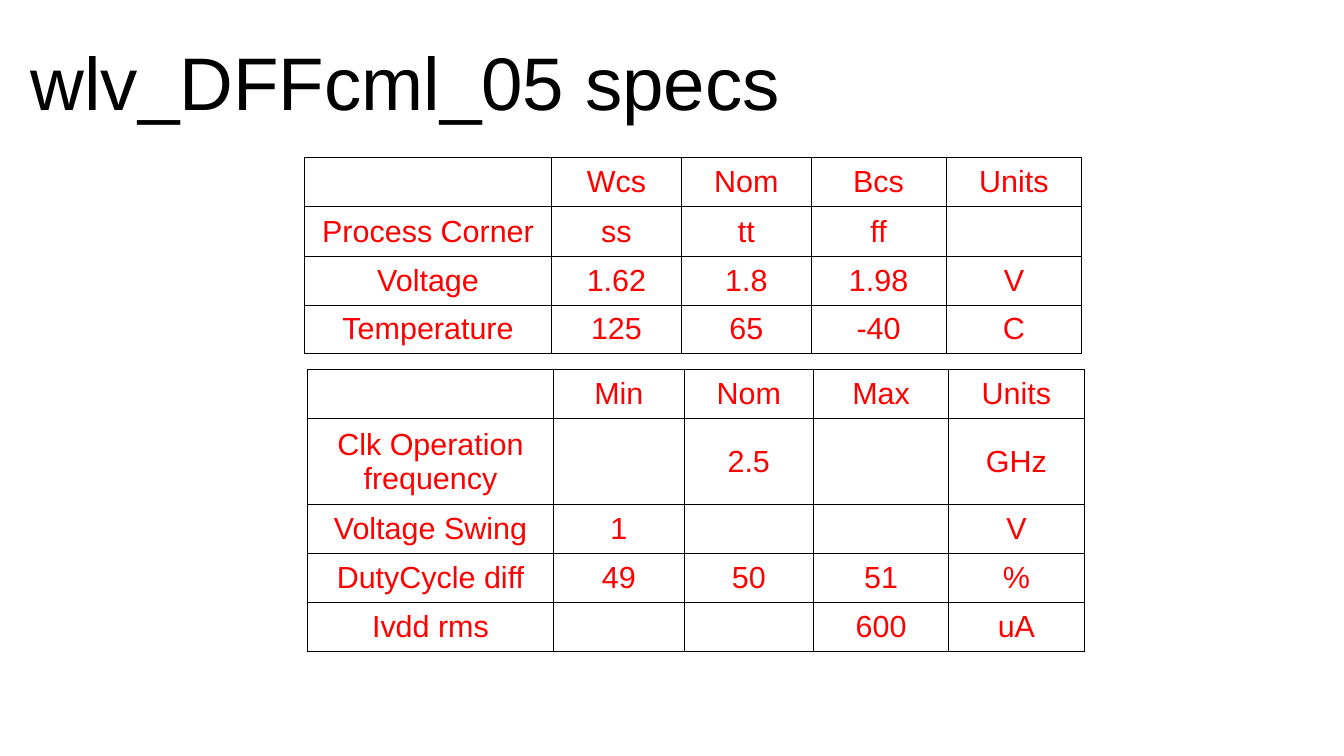
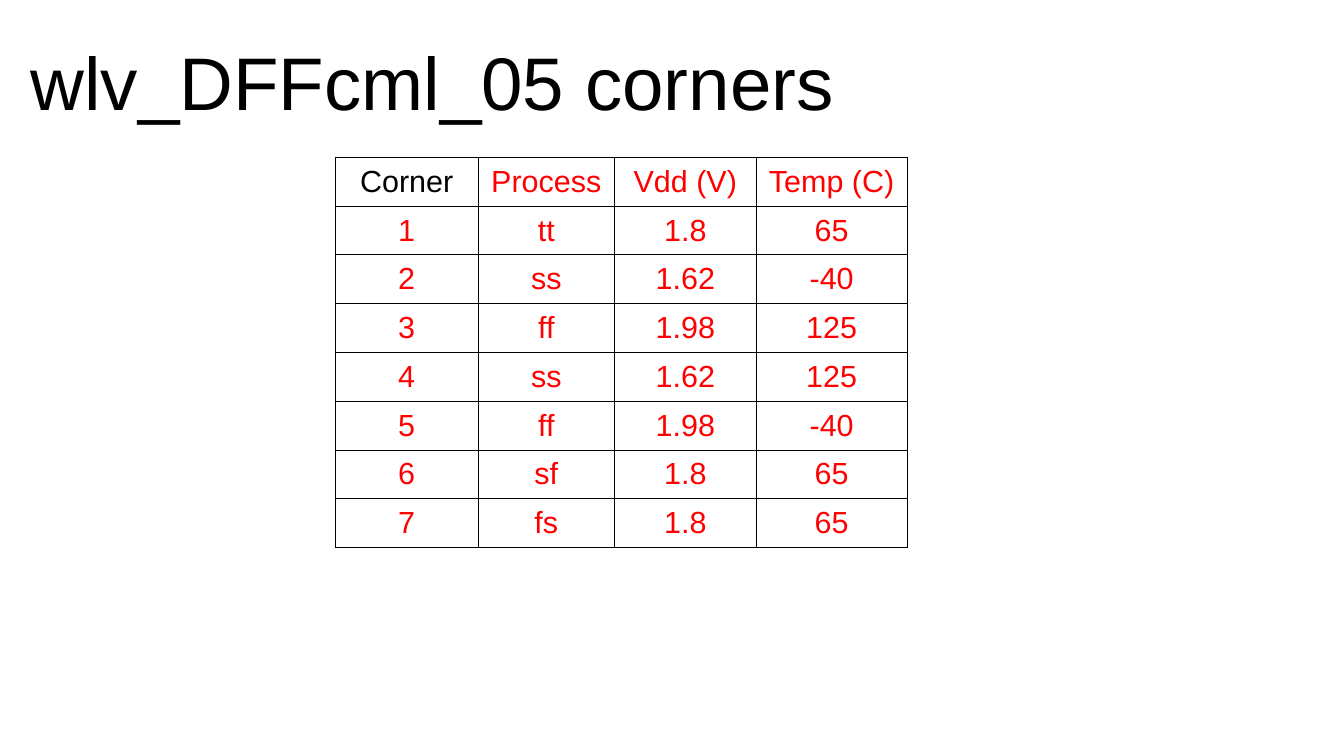
from lxml.etree import SubElement
from pptx import Presentation
from pptx.dml.color import RGBColor
from pptx.enum.text import MSO_ANCHOR as Anchor, PP_ALIGN as Align
from pptx.oxml.ns import qn
from pptx.util import Inches, Pt

FONT, BLACK, RED = "Arial", "000000", "FF0000"
ROW, TALL = 0.4, 0.7
SPEC_COLS = [2.02, 1.07, 1.06, 1.11, 1.11]

SLIDES = [
    {
        "title": "wlv_DFFcml_05 specs",
        "box": (0.25, 0.25, 6.5, 0.83),
        "tables": [
            {
                "at": (2.5, 1.29),
                "cols": SPEC_COLS,
                "rows": [
                    ["", "Wcs", "Nom", "Bcs", "Units"],
                    ["Process Corner", "ss", "tt", "ff", ""],
                    ["Voltage", "1.62", "1.8", "1.98", "V"],
                    ["Temperature", "125", "65", "-40", "C"],
                ],
            },
            {
                "at": (2.52, 3.03),
                "cols": SPEC_COLS,
                "tall": {1},
                "rows": [
                    ["", "Min", "Nom", "Max", "Units"],
                    ["Clk Operation frequency", "", "2.5", "", "GHz"],
                    ["Voltage Swing", "1", "", "", "V"],
                    ["DutyCycle diff", "49", "50", "51", "%"],
                    ["Ivdd rms", "", "", "600", "uA"],
                ],
            },
        ],
    },
    {
        "title": "wlv_DFFcml_05 corners",
        "box": (0.25, -0.02, 7.75, 1.37),
        "tables": [
            {
                "at": (2.75, 1.29),
                "cols": [1.17, 1.12, 1.16, 1.24],
                "black": {"Corner"},
                "rows": [
                    ["Corner", "Process", "Vdd (V)", "Temp (C)"],
                    ["1", "tt", "1.8", "65"],
                    ["2", "ss", "1.62", "-40"],
                    ["3", "ff", "1.98", "125"],
                    ["4", "ss", "1.62", "125"],
                    ["5", "ff", "1.98", "-40"],
                    ["6", "sf", "1.8", "65"],
                    ["7", "fs", "1.8", "65"],
                ],
            },
        ],
    },
]


def style(par, size, color, align):
    par.alignment = align
    for run in par.runs:
        run.font.name = FONT
        run.font.size = Pt(size)
        run.font.color.rgb = RGBColor.from_string(color)


def add_title(slide, text, box):
    title = slide.shapes.title
    title.left, title.top, title.width, title.height = map(Inches, box)
    frame = title.text_frame
    frame.text = text
    frame.word_wrap = True
    frame.vertical_anchor = Anchor.MIDDLE
    frame.margin_left = frame.margin_right = 0
    frame.margin_top = frame.margin_bottom = 0
    style(frame.paragraphs[0], 44, BLACK, Align.LEFT)


def add_border(cell):
    props = cell._tc.get_or_add_tcPr()
    for side in ("a:lnL", "a:lnR", "a:lnT", "a:lnB"):
        line = SubElement(props, qn(side), w=str(Pt(0.57)))
        fill = SubElement(line, qn("a:solidFill"))
        SubElement(fill, qn("a:srgbClr"), val=BLACK)


def fill_cell(cell, text, color):
    cell.text = text
    cell.vertical_anchor = Anchor.MIDDLE
    cell.margin_left = cell.margin_right = Inches(0.04)
    cell.margin_top = cell.margin_bottom = Inches(0.05)
    style(cell.text_frame.paragraphs[0], 18, color, Align.CENTER)
    add_border(cell)
    cell.fill.background()


def add_grid(slide, data):
    rows, cols = data["rows"], data["cols"]
    tall, black = data.get("tall", ()), data.get("black", ())
    highs = [TALL if r in tall else ROW for r in range(len(rows))]
    left, top = data["at"]
    frame = slide.shapes.add_table(
        len(rows), len(cols), Inches(left), Inches(top),
        Inches(sum(cols)), Inches(sum(highs)))
    table = frame.table
    table.first_row = table.horz_banding = False
    for col, width in zip(table.columns, cols):
        col.width = Inches(width)
    for row, high, texts in zip(table.rows, highs, rows):
        row.height = Inches(high)
        for cell, text in zip(row.cells, texts):
            fill_cell(cell, text, BLACK if text in black else RED)


def main():
    deck = Presentation()
    deck.slide_width, deck.slide_height = Inches(11.02), Inches(6.2)
    for page in SLIDES:
        slide = deck.slides.add_slide(deck.slide_layouts[5])
        add_title(slide, page["title"], page["box"])
        for data in page["tables"]:
            add_grid(slide, data)
    deck.save("out.pptx")


if __name__ == "__main__":
    main()
